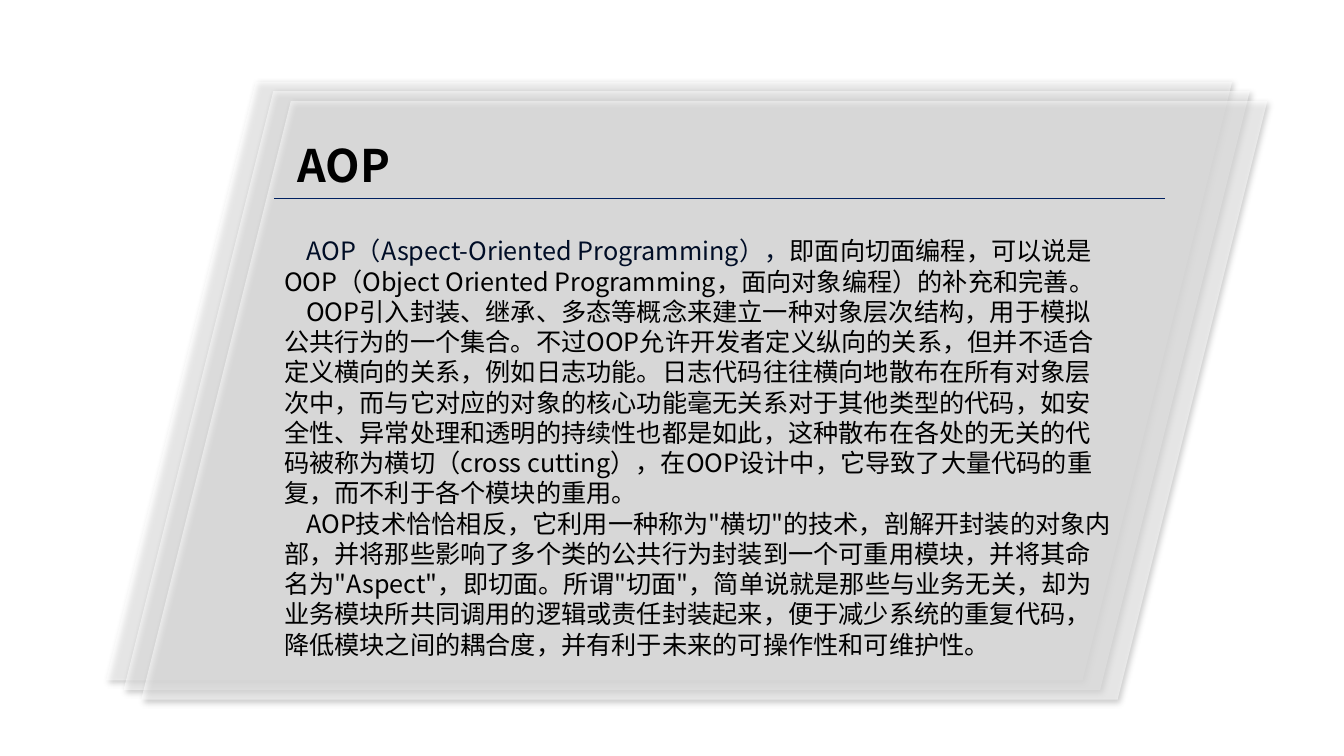
from dataclasses import dataclass

from lxml import etree
from pptx import Presentation
from pptx import util as u
from pptx.dml.color import RGBColor
from pptx.enum import shapes, text
from pptx.oxml import ns


@dataclass(frozen=True)
class Theme:
    font: str = "Noto Sans CJK SC"
    paper: str = "FFFFFF"
    rule: str = "002060"
    ink: str = "000000"
    accent: str = "000D26"
    title_size: float = 32
    body_size: float = 18
    leading: float = 1.2
    indent: float = 0.22


INTRO = [
    ("AOP（Aspect-Oriented Programming），", "accent"),
    ("即面向切面编程，可以说是OOP（Object Oriented Programming，面向对象编程）的补充和完善。", "ink"),
]
OOP_LIMITS = [
    ("OOP引入封装、继承、多态等概念来建立一种对象层次结构，用于模拟公共行为的一个集合。"
     "不过OOP允许开发者定义纵向的关系，但并不适合定义横向的关系，例如日志功能。"
     "日志代码往往横向地散布在所有对象层次中，而与它对应的对象的核心功能毫无关系对于其他类型的代码，"
     "如安全性、异常处理和透明的持续性也都是如此，这种散布在各处的无关的代码被称为横切（cross cutting），"
     "在OOP设计中，它导致了大量代码的重复，而不利于各个模块的重用。", "ink"),
]
AOP_ANSWER = [
    ('AOP技术恰恰相反，它利用一种称为"横切"的技术，剖解开封装的对象内部，'
     '并将那些影响了多个类的公共行为封装到一个可重用模块，并将其命名为"Aspect"，即切面。'
     '所谓"切面"，简单说就是那些与业务无关，却为业务模块所共同调用的逻辑或责任封装起来，'
     '便于减少系统的重复代码，降低模块之间的耦合度，并有利于未来的可操作性和可维护性。', "ink"),
]


def add_child(parent, tag, **attributes):
    return etree.SubElement(parent, ns.qn(tag), {k: str(v) for k, v in attributes.items()})


def add_span(para, words, *, font, size, color, bold=False):
    span = para.add_run()
    span.text = words
    span.font.name = font
    span.font.size = u.Pt(size)
    span.font.bold = bold
    span.font.color.rgb = RGBColor.from_string(color)
    add_child(span.font._element, "a:ea", typeface=font)


class SlideBuilder:
    def __init__(self, deck, theme):
        self.deck = deck
        self.theme = theme
        self.page = deck.slides.add_slide(deck.slide_layouts[6])

    def across(self, percent):
        return u.Emu(round(self.deck.slide_width * percent / 100))

    def down(self, percent):
        return u.Emu(round(self.deck.slide_height * percent / 100))

    def frame(self, left, top, width, height):
        return self.across(left), self.down(top), self.across(width), self.down(height)

    def sheets(self, left, top, width, height, *, count, step_x, step_y):
        stack = self.page.shapes.add_group_shape()
        for index in range(count):
            place = self.frame(left + index * step_x, top + index * step_y, width, height)
            sheet = stack.shapes.add_shape(shapes.MSO_SHAPE.PARALLELOGRAM, *place)
            sheet.fill.solid()
            sheet.fill.fore_color.rgb = RGBColor.from_string(self.theme.paper)
            sheet.line.fill.background()
            sheet.shadow.inherit = False
            properties = sheet._element.spPr
            paint = properties.find(ns.qn("a:solidFill"))
            add_child(paint[0], "a:alpha", val=50000)
            effects = properties.find(ns.qn("a:effectLst"))
            shadow = add_child(effects, "a:outerShdw", blurRad=u.Pt(4), dist=u.Pt(3),
                               dir=45 * 60000, algn="tl", rotWithShape=0)
            shade = add_child(shadow, "a:srgbClr", val=self.theme.ink)
            add_child(shade, "a:alpha", val=40000)

    def rule(self, left, right, top):
        line = self.page.shapes.add_connector(
            shapes.MSO_CONNECTOR.STRAIGHT,
            self.across(left), self.down(top), self.across(right), self.down(top))
        line.line.color.rgb = RGBColor.from_string(self.theme.rule)
        line.line.width = u.Pt(1.25)
        add_child(line._element.spPr, "a:effectLst")

    def text(self, paragraphs, left, top, width, height, *, size, bold=False, wrap=True, indent=0):
        box = self.page.shapes.add_textbox(*self.frame(left, top, width, height))
        frame = box.text_frame
        frame.word_wrap = wrap
        frame.auto_size = text.MSO_AUTO_SIZE.SHAPE_TO_FIT_TEXT
        for index, spans in enumerate(paragraphs):
            para = frame.add_paragraph() if index else frame.paragraphs[0]
            para.line_spacing = u.Pt(size * self.theme.leading)
            if indent:
                para._p.get_or_add_pPr().set("indent", str(u.Inches(indent)))
            for words, tone in spans:
                add_span(para, words, font=self.theme.font, size=size,
                         color=getattr(self.theme, tone), bold=bold)


def main():
    deck = Presentation()
    deck.slide_width, deck.slide_height = u.Inches(13.33), u.Inches(7.5)
    theme = Theme()
    slide = SlideBuilder(deck, theme)
    slide.sheets(7.88, 10.8, 83.8, 79.2, count=3, step_x=1.31, step_y=1.27)
    slide.rule(20.4, 86.72, 26.27)
    slide.text([[("AOP", "ink")]], 21.38, 17.6, 9, 8.53,
               size=theme.title_size, bold=True, wrap=False)
    slide.text([INTRO, OOP_LIMITS, AOP_ANSWER], 20.4, 30.53, 63.32, 57.87,
               size=theme.body_size, indent=theme.indent)
    deck.save("out.pptx")


if __name__ == "__main__":
    main()
